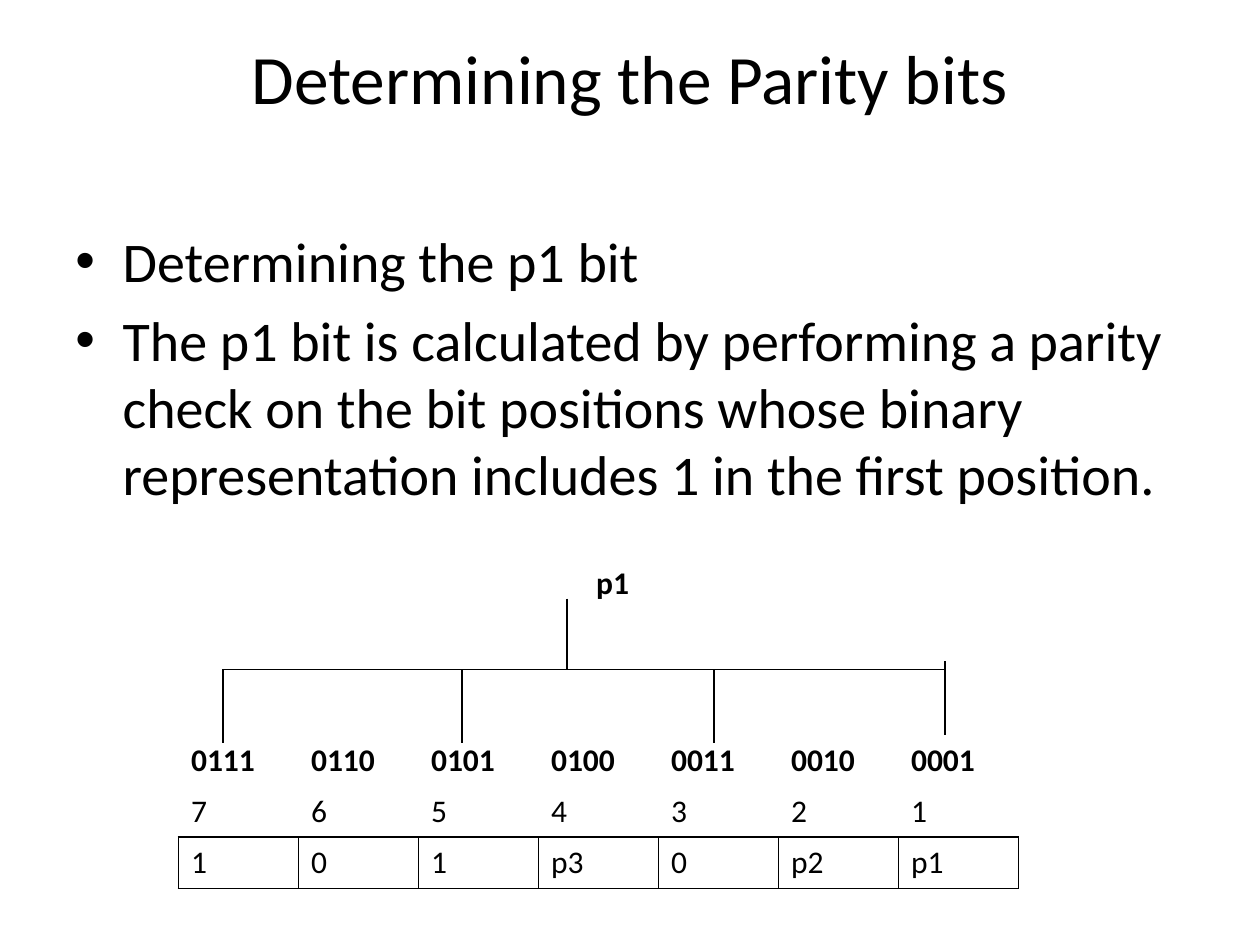
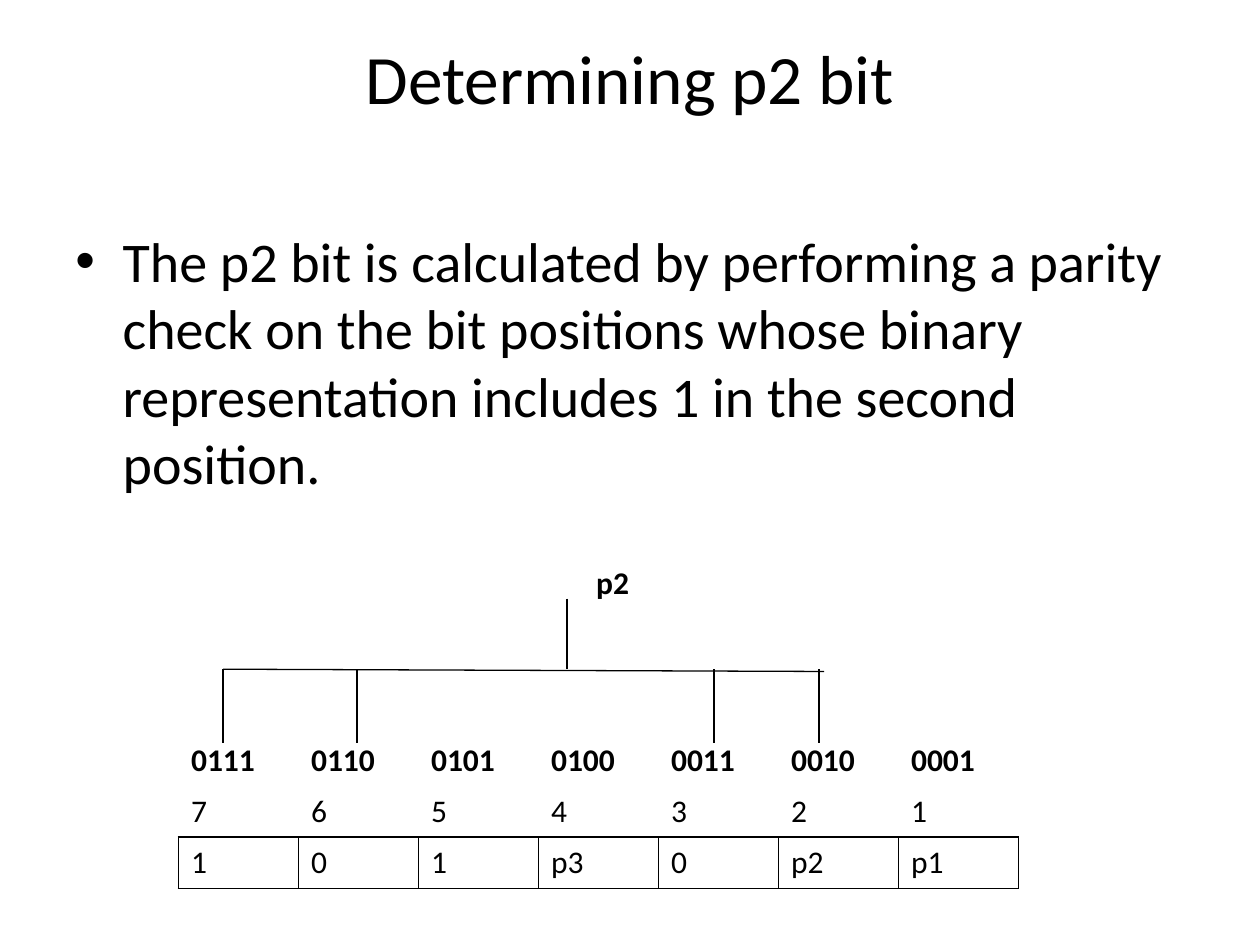
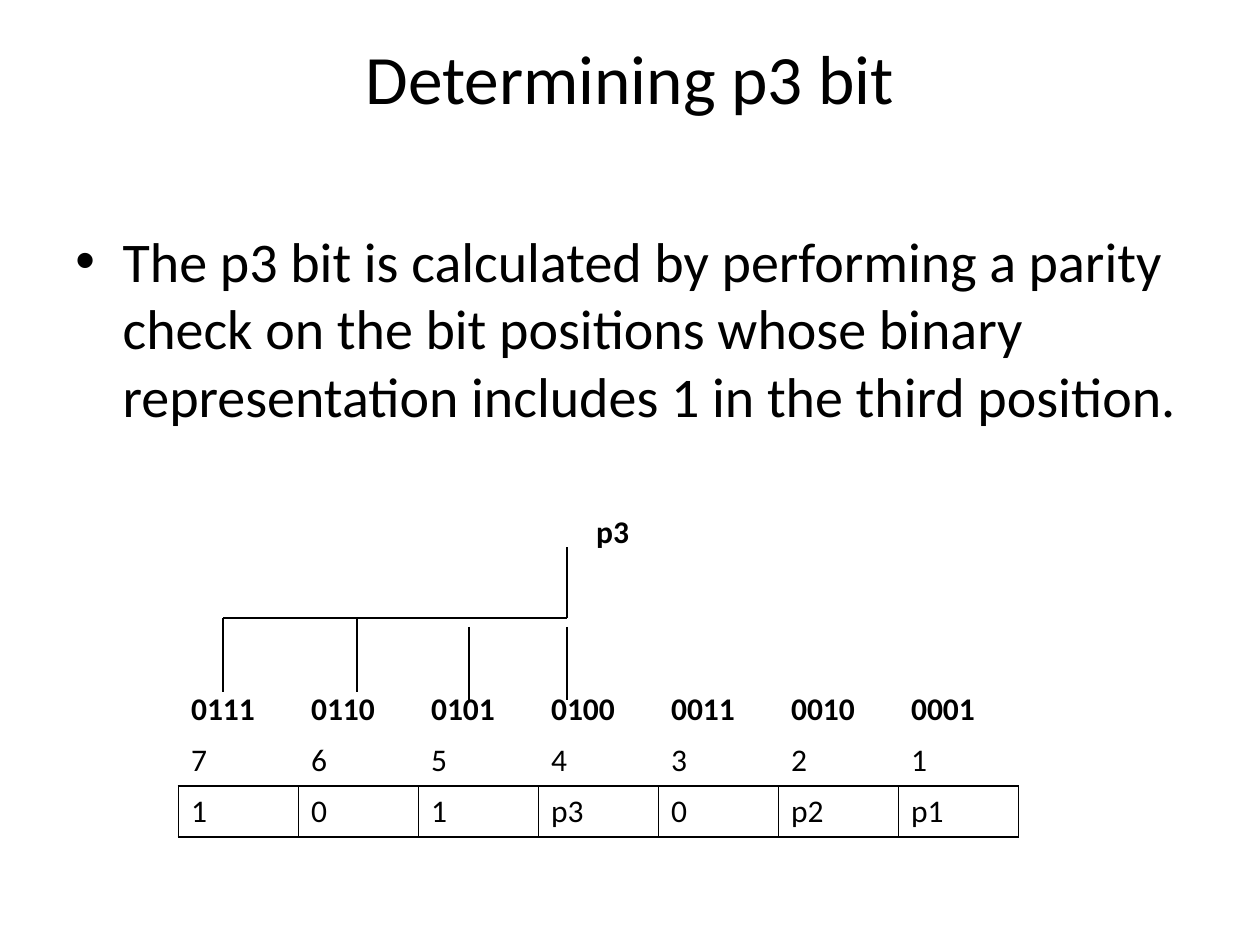
from dataclasses import dataclass

from lxml.etree import SubElement
from pptx import Presentation
from pptx.dml.color import RGBColor
from pptx.enum.shapes import MSO_CONNECTOR
from pptx.enum.text import MSO_ANCHOR, PP_ALIGN
from pptx.oxml.ns import qn
from pptx.util import Pt


@dataclass(frozen=True)
class Theme:
    font: str = "Calibri"
    ink: RGBColor = RGBColor(0, 0, 0)
    paper: RGBColor = RGBColor(255, 255, 255)
    title: float = 39.6
    body: float = 32
    diagram: float = 18
    connector_width: float = 0.75
    border_width: float = 1


THEME = Theme()
NO_GRID_STYLE = "{2D5ABB26-0587-4C30-8999-92F81FD0307C}"

# Boxes are left, top, width, height in points.
TITLE_BOX = (36, 20, 648, 90)
BODY_BOX = (36, 126, 648, 356)
BULLET_INDENT = 27

DIAGRAM_LEFT, DIAGRAM_WIDTH = 102, 480
ROW_HEIGHT = 29.2
TABLE_OFFSET = 102
STEM_X, STEM_TOP, BAR_Y = 222, 24, 64.4
DROP_LENGTH = 42

CODE_TABLE = (
    ("0111", "0110", "0101", "0100", "0011", "0010", "0001"),
    ("7", "6", "5", "4", "3", "2", "1"),
    ("1", "0", "1", "p3", "0", "p2", "p1"),
)
ROW_BORDERS = ((), ("B",), ("L", "R", "T", "B"))


@dataclass(frozen=True)
class ParityBit:
    """Drops are (x, shift from the bar); bar_end is (x, fall along the bar)."""
    name: str
    title: str
    bullets: tuple
    diagram_top: float
    drops: tuple
    bar_end: tuple


def rule_for(bit, position):
    return (f"The {bit} bit is calculated by performing a parity check on the bit "
            f"positions whose binary representation includes 1 in the {position} position.")


PARITY_BITS = (
    ParityBit("p1", "Determining the Parity bits",
              ("Determining the p1 bit", rule_for("p1", "first")), 318,
              ((25.5, 0), (162, 0), (306, 0), (438, -4.5)), (438, 0)),
    ParityBit("p2", "Determining p2 bit", (rule_for("p2", "second"),), 318,
              ((25.5, 0), (102, 0), (306, 0), (366, 0)), (369, 1.3)),
    ParityBit("p3", "Determining p3 bit", (rule_for("p3", "third"),), 318 - ROW_HEIGHT,
              ((25.5, 0), (102, 0), (166, 5), (STEM_X, 5)), (STEM_X, 0)),
)


def style(paragraph, size, bold=False):
    font = paragraph.font
    font.name, font.size, font.bold = THEME.font, Pt(size), bold
    font.color.rgb = THEME.ink


def add_title(slide, text, box):
    title = slide.shapes.title
    title.left, title.top, title.width, title.height = map(Pt, box)
    frame = title.text_frame
    frame.text = text
    frame.vertical_anchor = MSO_ANCHOR.TOP
    frame.margin_top = 0
    paragraph = frame.paragraphs[0]
    paragraph.alignment = PP_ALIGN.CENTER
    style(paragraph, THEME.title)


def add_bullets(slide, bullets, box):
    frame = slide.shapes.add_textbox(*map(Pt, box)).text_frame
    frame.word_wrap = True
    frame.text = "\n".join(bullets)
    for index, paragraph in enumerate(frame.paragraphs):
        properties = paragraph._p.get_or_add_pPr()
        properties.set("marL", str(Pt(BULLET_INDENT)))
        properties.set("indent", str(-Pt(BULLET_INDENT)))
        if index:
            paragraph.space_before = Pt(THEME.body * 0.2)
        SubElement(properties, qn("a:buFont"), typeface="Arial")
        SubElement(properties, qn("a:buChar"), char="•")
        style(paragraph, THEME.body)


def add_border(cell, side):
    line = SubElement(cell._tc.get_or_add_tcPr(), qn(f"a:ln{side}"),
                      w=str(Pt(THEME.border_width)))
    fill = SubElement(line, qn("a:solidFill"))
    SubElement(fill, qn("a:srgbClr"), val=str(THEME.ink))


def add_code_table(slide, left, top, width):
    columns = len(CODE_TABLE[0])
    table = slide.shapes.add_table(len(CODE_TABLE), columns, Pt(left), Pt(top), Pt(width),
                                   Pt(ROW_HEIGHT * len(CODE_TABLE))).table
    table.first_row = table.horz_banding = False
    table._tbl.tblPr.find(qn("a:tableStyleId")).text = NO_GRID_STYLE
    for column in table.columns:
        column.width = Pt(width / columns)
    for index, (row, words, sides) in enumerate(zip(table.rows, CODE_TABLE, ROW_BORDERS)):
        row.height = Pt(ROW_HEIGHT)
        for cell, word in zip(row.cells, words):
            cell.text = word
            style(cell.text_frame.paragraphs[0], THEME.diagram, bold=index == 0)
            for side in sides:
                add_border(cell, side)
            cell.fill.solid()
            cell.fill.fore_color.rgb = THEME.paper


def add_line(slide, *ends):
    connector = slide.shapes.add_connector(MSO_CONNECTOR.STRAIGHT, *map(Pt, ends))
    connector.line.color.rgb = THEME.ink
    connector.line.width = Pt(THEME.connector_width)
    SubElement(connector._element.spPr, qn("a:effectLst"))


def add_parity_diagram(slide, bit, left, top, width):
    add_code_table(slide, left, top + TABLE_OFFSET, width)
    bar_y, stem_x = top + BAR_Y, left + STEM_X
    end_x, fall = bit.bar_end
    add_line(slide, left + bit.drops[0][0], bar_y, left + end_x, bar_y + fall)
    for x, shift in bit.drops:
        drop_top = bar_y + shift
        add_line(slide, left + x, drop_top, left + x, drop_top + DROP_LENGTH)
    add_line(slide, stem_x, top + STEM_TOP, stem_x, bar_y)

    label = slide.shapes.add_textbox(Pt(stem_x + 9.6), Pt(top), Pt(74), Pt(ROW_HEIGHT)).text_frame
    label.word_wrap = True
    label.text = bit.name
    style(label.paragraphs[0], THEME.diagram, bold=True)


def add_parity_slide(deck, bit):
    slide = deck.slides.add_slide(deck.slide_layouts.get_by_name("Title Only"))
    add_title(slide, bit.title, TITLE_BOX)
    add_bullets(slide, bit.bullets, BODY_BOX)
    add_parity_diagram(slide, bit, DIAGRAM_LEFT, bit.diagram_top, DIAGRAM_WIDTH)


def main():
    deck = Presentation()
    deck.slide_width, deck.slide_height = Pt(720), Pt(540)
    for bit in PARITY_BITS:
        add_parity_slide(deck, bit)
    deck.save("out.pptx")


if __name__ == "__main__":
    main()
